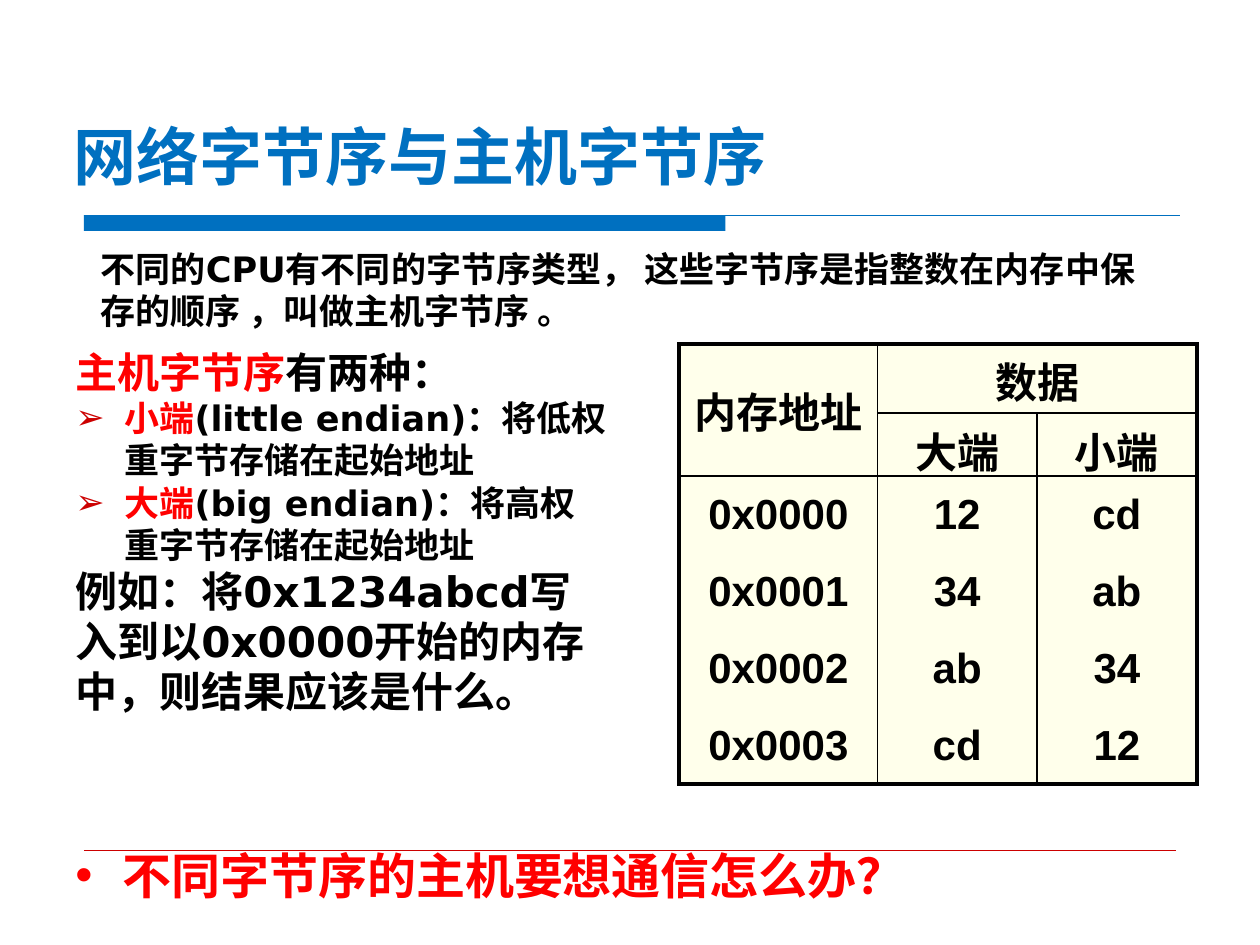
from lxml import etree
from pptx import Presentation
from pptx.dml.color import RGBColor
from pptx.enum.shapes import MSO_CONNECTOR, MSO_SHAPE
from pptx.enum.text import MSO_ANCHOR, MSO_AUTO_SIZE, PP_ALIGN
from pptx.oxml.ns import qn
from pptx.util import Pt

STRAIGHT = MSO_CONNECTOR.STRAIGHT
RECTANGLE = MSO_SHAPE.RECTANGLE
MIDDLE, BOTTOM = MSO_ANCHOR.MIDDLE, MSO_ANCHOR.BOTTOM
NO_AUTOFIT = MSO_AUTO_SIZE.NONE
LEFT, CENTER = PP_ALIGN.LEFT, PP_ALIGN.CENTER

BLUE = RGBColor(0x00, 0x70, 0xC0)
RED = RGBColor(0xFF, 0x00, 0x00)
DARK_RED = RGBColor(0xCC, 0x00, 0x00)
BLACK = RGBColor(0x00, 0x00, 0x00)
CREAM = RGBColor(0xFF, 0xFF, 0xEB)

SANS, ARIAL = "DejaVu Sans", "Arial"
OUTER, INNER, NONE = 2.25, 1, 0

ADDRESSES = ["0x0000", "0x0001", "0x0002", "0x0003"]
BIG_ENDIAN = ["12", "34", "ab", "cd"]


def add_run(paragraph, text, size, color, font=SANS):
    run = paragraph.add_run()
    run.text = text
    run.font.size = Pt(size)
    run.font.name = font
    run.font.bold = True
    run.font.color.rgb = color


def set_bullet(paragraph, mark, indent, color):
    properties = paragraph._p.get_or_add_pPr()
    properties.set("marL", str(Pt(indent)))
    properties.set("indent", str(-Pt(indent)))
    bullet_color = etree.SubElement(properties, qn("a:buClr"))
    etree.SubElement(bullet_color, qn("a:srgbClr"), val=str(color))
    etree.SubElement(properties, qn("a:buFont"), typeface=ARIAL)
    etree.SubElement(properties, qn("a:buChar"), char=mark)


def add_text_frame(slide, box):
    frame = slide.shapes.add_textbox(*map(Pt, box)).text_frame
    frame.word_wrap = True
    return frame


def add_rule(slide, left, top, width, color, weight):
    rule = slide.shapes.add_connector(
        STRAIGHT, Pt(left), Pt(top), Pt(left + width), Pt(top))
    rule.line.color.rgb = color
    rule.line.width = Pt(weight)
    etree.SubElement(rule._element.spPr, qn("a:effectLst"))


def add_title(slide, box):
    title = slide.shapes.title
    title.left, title.top, title.width, title.height = map(Pt, box)
    frame = title.text_frame
    frame.auto_size = NO_AUTOFIT
    frame.vertical_anchor = BOTTOM
    frame.margin_left = Pt(14)
    heading = frame.paragraphs[0]
    heading.alignment = LEFT
    add_run(heading, "网络字节序与主机字节序", 36, BLUE)


def add_title_bar(slide, box):
    left, top, width, height = box
    bar = slide.shapes.add_shape(
        RECTANGLE, Pt(left), Pt(top), Pt(width * 0.585), Pt(height))
    bar.shadow.inherit = False
    bar.fill.solid()
    bar.fill.fore_color.rgb = BLUE
    bar.line.fill.background()
    add_rule(slide, left, top, width, BLUE, 0.75)


def add_intro(slide, box):
    intro = add_text_frame(slide, box).paragraphs[0]
    add_run(intro, "不同的CPU有不同的字节序类型， 这些字节序是指整数在内存中"
            "保存的顺序 ，叫做主机字节序 。", 20, BLACK)


def add_explanation(slide, box):
    frame = add_text_frame(slide, box)
    heading = frame.paragraphs[0]
    add_run(heading, "主机字节序", 24, RED)
    add_run(heading, "有两种：", 24, BLACK)
    for order, meaning in [
        ("小端", "(little endian)：将低权重字节存储在起始地址"),
        ("大端", "(big endian)：将高权重字节存储在起始地址"),
    ]:
        definition = frame.add_paragraph()
        set_bullet(definition, "➢", 28, DARK_RED)
        add_run(definition, order, 20, RED)
        add_run(definition, meaning, 20, BLACK)
    add_run(frame.add_paragraph(), "例如：将0x1234abcd写入到以0x0000开始的内存中，"
            "则结果应该是什么。", 24, BLACK)


def set_borders(cell, widths):
    properties = cell._tc.get_or_add_tcPr()
    for place, (side, width) in enumerate(zip("LRTB", widths)):
        border = etree.Element(qn(f"a:ln{side}"), w=str(Pt(width)))
        if width:
            fill = etree.SubElement(border, qn("a:solidFill"))
            etree.SubElement(fill, qn("a:srgbClr"), val=str(BLACK))
        else:
            etree.SubElement(border, qn("a:noFill"))
        properties.insert(place, border)


def add_memory_table(slide, box):
    rows = [["内存地址", "数据", ""], ["", "大端", "小端"]]
    rows += zip(ADDRESSES, BIG_ENDIAN, reversed(BIG_ENDIAN))
    table = slide.shapes.add_table(len(rows), 3, *map(Pt, box)).table
    for column, width in zip(table.columns, [113.5, 91, 91.5]):
        column.width = Pt(width)
    for row, height in zip(table.rows, [39.6, 36] + [44] * len(ADDRESSES)):
        row.height = Pt(height)
    table.cell(0, 0).merge(table.cell(1, 0))
    table.cell(0, 1).merge(table.cell(0, 2))

    across = [OUTER, INNER, INNER, NONE, NONE, NONE, OUTER]
    down = [OUTER, INNER, INNER, OUTER]
    for r, texts in enumerate(rows):
        for c, text in enumerate(texts):
            cell = table.cell(r, c)
            right, bottom = c + 1, r + 1
            if cell.is_merge_origin:
                right, bottom = c + cell.span_width, r + cell.span_height
            cell.fill.solid()
            cell.fill.fore_color.rgb = CREAM
            set_borders(cell, (down[c], down[right], across[r], across[bottom]))
            cell.vertical_anchor = MIDDLE
            if text:
                entry = cell.text_frame.paragraphs[0]
                entry.alignment = CENTER
                add_run(entry, text, 24, BLACK, ARIAL)


def add_question(slide, box):
    question = add_text_frame(slide, box).paragraphs[0]
    set_bullet(question, "•", 27, RED)
    add_run(question, "不同字节序的主机要想通信怎么办？", 28, RED, ARIAL)


def main():
    presentation = Presentation()
    presentation.slide_width, presentation.slide_height = Pt(720), Pt(540)
    slide = presentation.slides.add_slide(presentation.slide_layouts[5])
    add_title_bar(slide, (48, 123, 626.5, 9))
    add_rule(slide, 48, 486, 624, DARK_RED, 0.25)
    add_title(slide, (28, 24, 664.5, 90))
    add_explanation(slide, (36, 194.5, 318, 252))
    add_memory_table(slide, (388, 196.5, 296, 252))
    add_question(slide, (36, 479.5, 648, 73.5))
    add_intro(slide, (50.5, 138, 607, 55.5))
    presentation.save("out.pptx")


if __name__ == "__main__":
    main()
